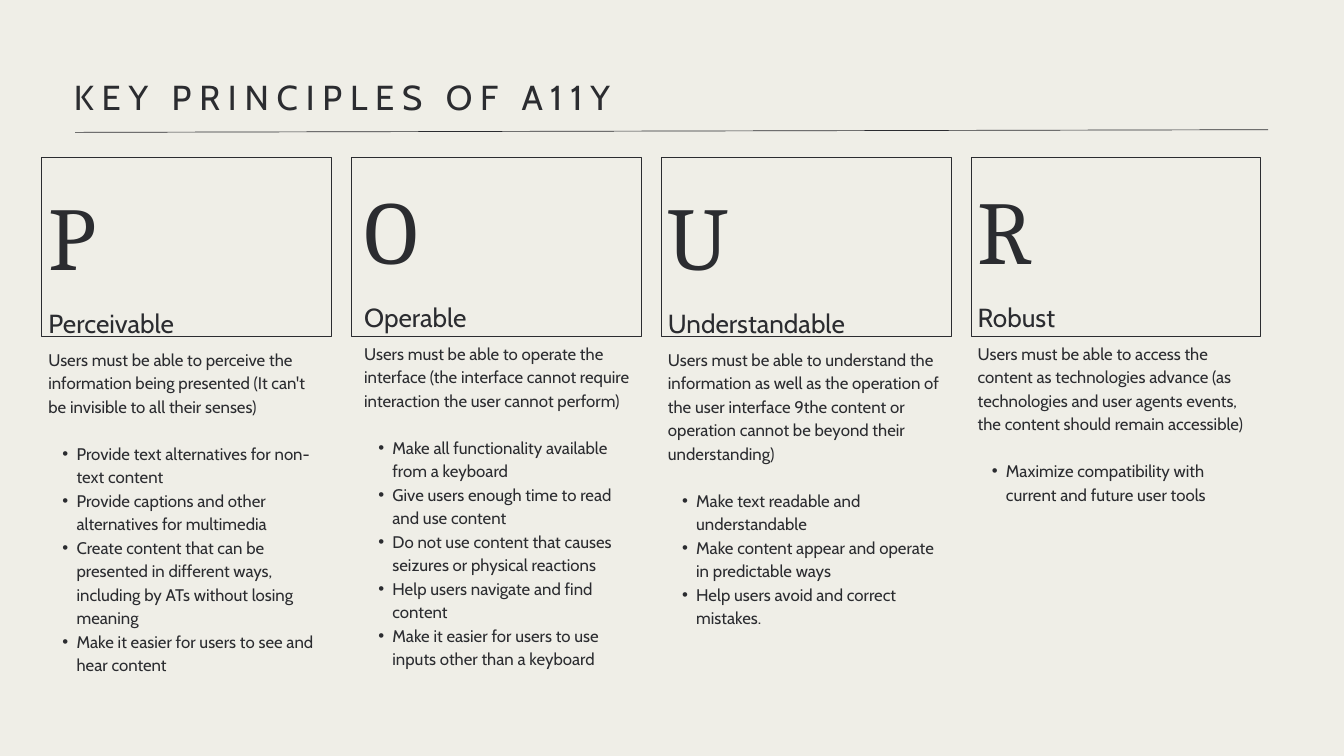
from lxml.etree import SubElement
from pptx import Presentation
from pptx.dml.color import RGBColor
from pptx.enum.shapes import MSO_CONNECTOR, MSO_SHAPE
from pptx.enum.text import MSO_ANCHOR, MSO_AUTO_SIZE, PP_ALIGN
from pptx.oxml.ns import qn
from pptx.util import Inches, Pt

COLORS = {"paper": "EFEEE7", "ink": "2B2C30"}
WIDTH, HEIGHT = 20, 11.25
LEFT, TOP, PITCH = 0.62, 2.34, 4.61
CARD_WIDTH, CARD_HEIGHT = 4.31, 2.67
TEXT_WIDTH = 4.13

PRINCIPLES = [
    ("P", "Perceivable", 0.1, 0.09,
     "Users must be able to perceive the information being presented "
     "(It can't be invisible to all their senses)",
     ["Provide text alternatives for non-text content",
      "Provide captions and other alternatives for multimedia",
      "Create content that can be presented in different ways, "
      "including by ATs without losing meaning",
      "Make it easier for users to see and hear content"]),
    ("O", "Operable", 0.19, 0,
     "Users must be able to operate the interface (the interface cannot "
     "require interaction the user cannot perform)",
     ["Make all functionality available from a keyboard",
      "Give users enough time to read and use content",
      "Do not use content that causes seizures or physical reactions",
      "Help users navigate and find content",
      "Make it easier for users to use inputs other than a keyboard"]),
    ("U", "Understandable", 0.1, 0.09,
     "Users must be able to understand the information as well as the "
     "operation of the user interface 9the content or operation cannot be "
     "beyond their understanding)",
     ["Make text readable and understandable",
      "Make content appear and operate in predictable ways",
      "Help users avoid and correct mistakes."]),
    ("R", "Robust", 0.1, 0,
     "Users must be able to access the content as technologies advance "
     "(as technologies and user agents events, the content should remain "
     "accessible)",
     ["Maximize compatibility with current and future user tools"]),
]


def color(name):
    return RGBColor.from_string(COLORS[name])


def set_frame(shape):
    frame = shape.text_frame
    frame.word_wrap = True
    frame.auto_size = MSO_AUTO_SIZE.NONE
    frame.vertical_anchor = MSO_ANCHOR.TOP
    frame.margin_left = frame.margin_right = 0
    frame.margin_top = frame.margin_bottom = 0
    return frame


def style(para, size, leading, font="Cabin", spacing=0):
    para.alignment = PP_ALIGN.LEFT
    para.line_spacing = Pt(leading)
    for run in para.runs:
        run.font.name = font
        run.font.size = Pt(size)
        run.font.color.rgb = color("ink")
        if spacing:
            run.font._element.set("spc", str(round(spacing * 100)))


def add_bullet(para):
    props = para._p.get_or_add_pPr()
    props.set("marL", str(Inches(0.42)))
    props.set("indent", str(Inches(-0.21)))
    SubElement(props, qn("a:buFont"), typeface="Arial")
    SubElement(props, qn("a:buChar"), char="•")


def add_box(slide, left, top, height):
    return set_frame(slide.shapes.add_textbox(
        Inches(left), Inches(top), Inches(TEXT_WIDTH), Inches(height)))


def add_label(slide, text, left, top, height, **look):
    frame = add_box(slide, left, top, height)
    frame.text = text
    style(frame.paragraphs[0], **look)


def add_title(slide, text):
    title = slide.shapes.title
    title.left, title.top = Inches(1.1), Inches(1.03)
    title.width, title.height = Inches(17.75), Inches(0.71)
    frame = set_frame(title)
    frame.text = text
    style(frame.paragraphs[0], 37.1, 52, spacing=8.4)


def add_rule(slide):
    rule = slide.shapes.add_connector(
        MSO_CONNECTOR.STRAIGHT,
        Inches(1.12), Inches(1.97), Inches(18.87), Inches(1.93))
    rule.line.color.rgb = color("ink")
    rule.line.width = Pt(0.75)
    SubElement(rule._element.spPr, qn("a:effectLst"))


def add_card(slide, left):
    card = slide.shapes.add_shape(
        MSO_SHAPE.RECTANGLE, Inches(left), Inches(TOP),
        Inches(CARD_WIDTH), Inches(CARD_HEIGHT))
    card.shadow.inherit = False
    card.fill.background()
    card.line.color.rgb = color("ink")
    card.line.width = Pt(0.75)


def add_details(slide, intro, points, left, top):
    frame = add_box(slide, left, top, 5.14)
    frame.text = "\n".join([intro] + points)
    for para in frame.paragraphs:
        style(para, 18, 25.2)
    first, *rest = frame.paragraphs
    first.space_after = Pt(25.2)
    for para in rest:
        add_bullet(para)


def add_column(slide, index, letter, name, inset, drop, intro, points):
    left = LEFT + index * PITCH
    add_card(slide, left)
    left += inset
    top = TOP + 0.65 + drop
    add_label(slide, letter, left, top, 1.38,
              size=96, leading=87.4, font="Cambria", spacing=0.5)
    add_label(slide, name, left, top + 1.41, 0.52, size=28, leading=39.2)
    add_details(slide, intro, points, left, top + 2.07)


def main():
    deck = Presentation()
    deck.slide_width, deck.slide_height = Inches(WIDTH), Inches(HEIGHT)
    slide = deck.slides.add_slide(deck.slide_layouts[5])
    slide.background.fill.solid()
    slide.background.fill.fore_color.rgb = color("paper")
    add_title(slide, "KEY PRINCIPLES OF A11Y")
    add_rule(slide)
    for index, principle in enumerate(PRINCIPLES):
        add_column(slide, index, *principle)
    deck.save("out.pptx")


if __name__ == "__main__":
    main()
